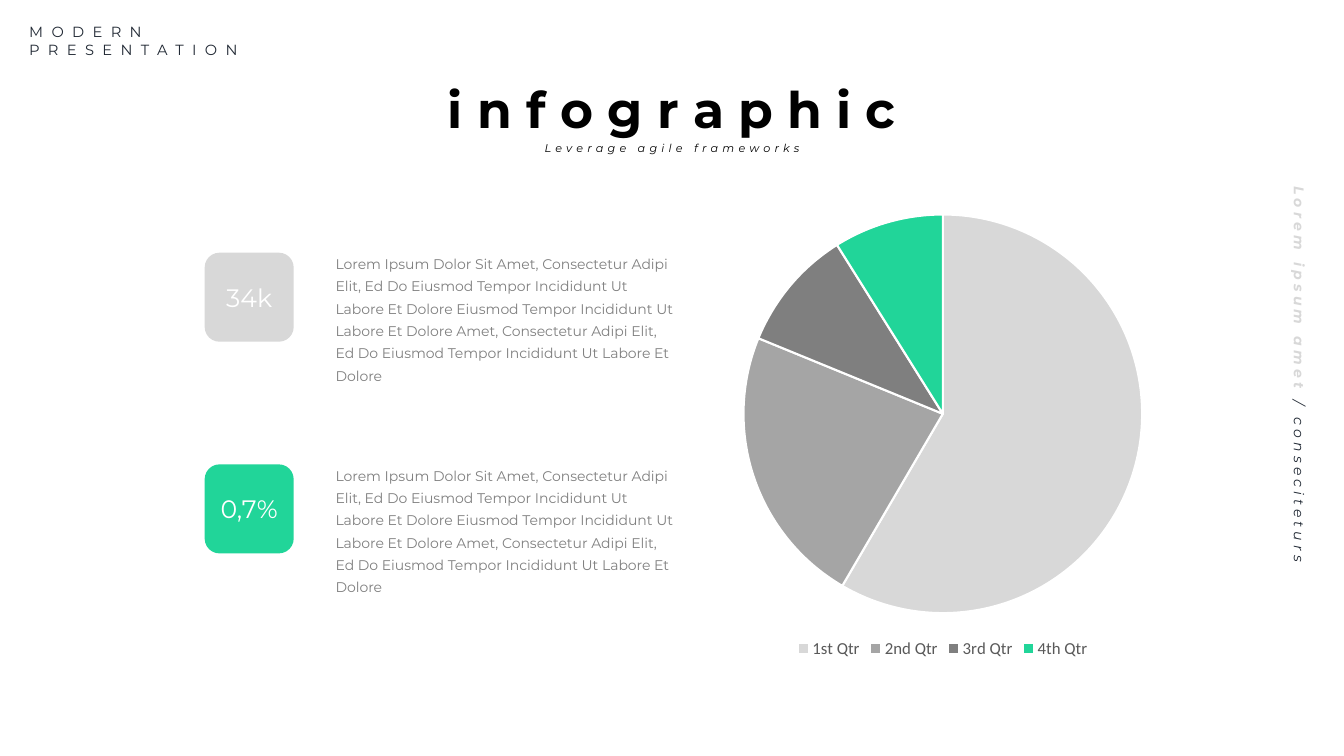
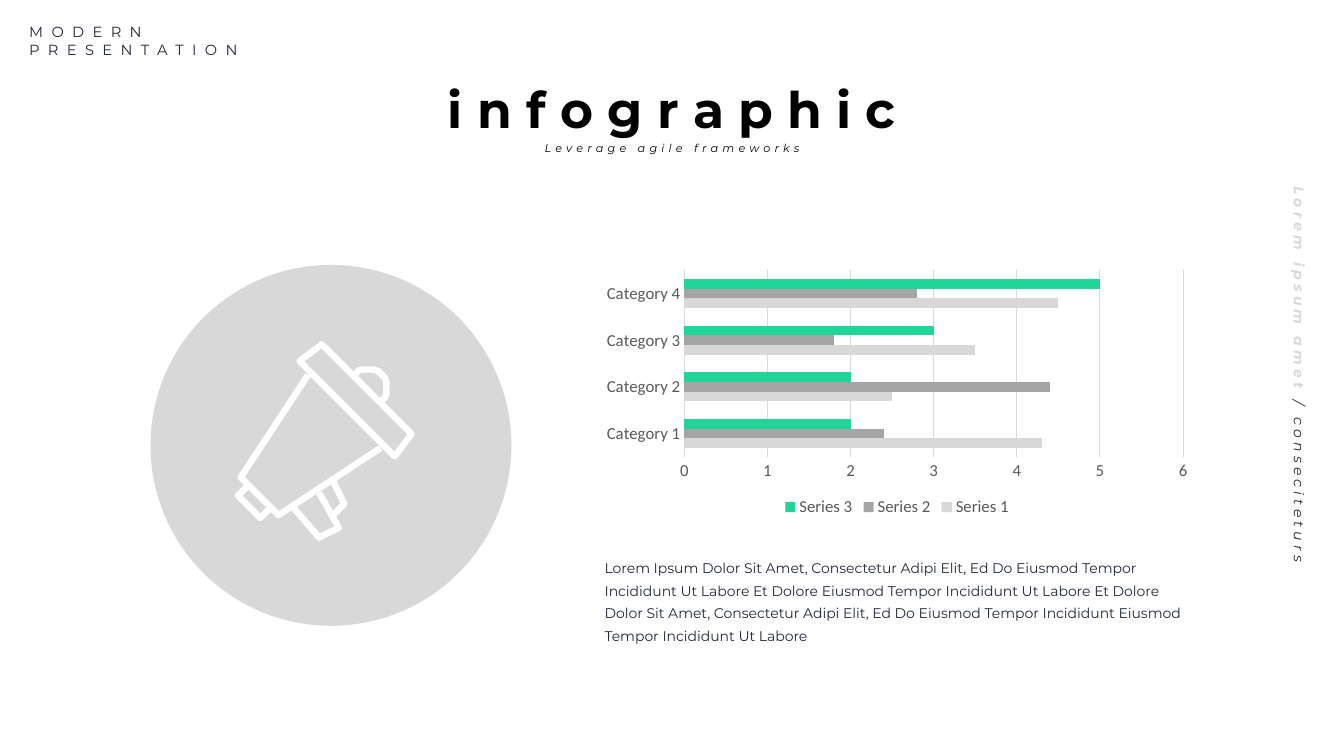
"""Build two infographic slides: a pie chart with key figures, and a bar chart beside a megaphone."""
from math import cos, radians, sin

from lxml.etree import SubElement
from pptx import Presentation
from pptx.chart.data import CategoryChartData
from pptx.dml.color import RGBColor
from pptx.enum.chart import XL_CHART_TYPE as Chart, XL_LEGEND_POSITION as Legend, XL_TICK_MARK as Tick
from pptx.enum.shapes import MSO_SHAPE as Shape
from pptx.enum.text import MSO_ANCHOR as Anchor, MSO_AUTO_SIZE as AutoSize, PP_ALIGN as Align
from pptx.oxml.ns import qn
from pptx.util import Pt

COLOURS = {
    "light": "D8D8D8", "mid": "A5A5A5", "dark": "7F7F7F", "green": "21D599",
    "body": "808080", "navy": "222A35", "black": "000000", "white": "FFFFFF",
    "chart_text": "595959", "grid": "D9D9D9",
}
TEXT_FONT, CHART_FONT = "Montserrat", "Calibri"

FIGURE_TEXT = (
    "Lorem Ipsum Dolor Sit Amet, Consectetur Adipi Elit, Ed Do Eiusmod Tempor Incididunt Ut "
    "Labore Et Dolore Eiusmod Tempor Incididunt Ut Labore Et Dolore Amet, Consectetur Adipi Elit, "
    "Ed Do Eiusmod Tempor Incididunt Ut Labore Et Dolore"
)
FIGURES = [("34k", "light", FIGURE_TEXT), ("0,7%", "green", FIGURE_TEXT)]
QUARTERS = [("1st Qtr", 59, "light"), ("2nd Qtr", 23, "mid"), ("3rd Qtr", 10, "dark"), ("4th Qtr", 9, "green")]
CATEGORIES = ["Category 1", "Category 2", "Category 3", "Category 4"]
SERIES = [
    ("Series 1", (4.3, 2.5, 3.5, 4.5), "light"),
    ("Series 2", (2.4, 4.4, 1.8, 2.8), "mid"),
    ("Series 3", (2, 2, 3, 5), "green"),
]
BAR_TEXT = (
    "Lorem Ipsum Dolor Sit Amet, Consectetur Adipi Elit, Ed Do Eiusmod Tempor Incididunt Ut Labore "
    "Et Dolore Eiusmod Tempor Incididunt Ut Labore Et Dolore Dolor Sit Amet, Consectetur Adipi Elit, "
    "Ed Do Eiusmod Tempor Incididunt Eiusmod Tempor Incididunt Ut Labore"
)

KNOB_X, KNOB_Y, KNOB_RADIUS = 262.8, 277.2, 13.7
KNOB = [
    (KNOB_X + KNOB_RADIUS * cos(radians(angle)), KNOB_Y + KNOB_RADIUS * sin(radians(angle)))
    for angle in range(-130, 41, 10)
]
MEGAPHONE = [
    ([(219.6, 267.8), (172, 341.3), (199.4, 368), (272.2, 320.4)], False),
    ([(230.4, 245.5), (213.5, 258.5), (281.5, 326.4), (294, 309.6)], True),
    ([(176.4, 347.8), (169.5, 354.5), (185.8, 370.3), (192.5, 364)], False),
    ([(210.5, 363), (228.2, 384), (242.2, 377.3), (227.5, 352)], False),
    ([(238.3, 344.2), (246.2, 359.8), (238.5, 368)], False),
    (KNOB, False),
]


def rgb(name):
    """Return the named colour."""
    return RGBColor.from_string(COLOURS[name])


def write(frame, text, size=10, colour="black", bold=False, italic=False, spacing=0,
          align=Align.LEFT, leading=None, inset=True, anchor=Anchor.TOP, append=False):
    """Put text in a frame, one paragraph a line, or append it to the last paragraph."""
    if not append:
        frame.word_wrap, frame.auto_size, frame.vertical_anchor = True, AutoSize.NONE, anchor
        frame.margin_left = frame.margin_right = Pt(7.2 if inset else 0)
        frame.margin_top = frame.margin_bottom = Pt(3.6 if inset else 0)
    for index, line in enumerate(text.split("\n")):
        para = frame.paragraphs[-1] if append or index == 0 else frame.add_paragraph()
        if not append:
            para.alignment, para.line_spacing = align, leading
        span = para.add_run()
        span.text = line
        font = span.font
        font.name, font.size, font.bold, font.italic = TEXT_FONT, Pt(size), bold, italic
        font.color.rgb = rgb(colour)
        if spacing:
            span._r.get_or_add_rPr().set("spc", str(spacing * 100))


def add_text(page, place, text, **style):
    """Add a text box at a place given in points."""
    box = page.shapes.add_textbox(*map(Pt, place))
    write(box.text_frame, text, **style)
    return box


def add_block(page, kind, place, colour):
    """Add a plain filled shape."""
    block = page.shapes.add_shape(kind, *map(Pt, place))
    block.shadow.inherit = False
    block.fill.solid()
    block.fill.fore_color.rgb = rgb(colour)
    block.line.fill.background()
    return block


def add_chart(page, kind, place, categories, series):
    """Add a chart with a legend below it."""
    data = CategoryChartData()
    data.categories = categories
    for name, values in series:
        data.add_series(name, values)
    chart = page.shapes.add_chart(kind, *map(Pt, place), data).chart
    chart.has_title = False
    chart.font.name, chart.font.size = CHART_FONT, Pt(12)
    chart.font.color.rgb = rgb("chart_text")
    chart.has_legend = True
    chart.legend.position = Legend.BOTTOM
    chart.legend.include_in_layout = False
    return chart


def paint(item, colour):
    """Fill a chart series or point."""
    item.format.fill.solid()
    item.format.fill.fore_color.rgb = rgb(colour)


def add_page(deck):
    """Add a slide with the shared title, subtitle, header and side text."""
    page = deck.slides.add_slide(deck.slide_layouts[5])
    title = page.shapes.title
    title.left, title.top, title.width, title.height = map(Pt, (247.7, 52.5, 464.4, 51))
    write(title.text_frame, "i n f o g r a p h i c", size=36, bold=True, align=Align.CENTER)
    add_text(page, (350.6, 95.8, 259.2, 13), "Leverage agile frameworks", size=8, italic=True,
             spacing=3, align=Align.CENTER, leading=1.5, inset=False)
    add_text(page, (20.9, 16.6, 206.6, 25.2), "MODERN\nPRESENTATION", size=10.5, colour="navy",
             spacing=6, inset=False)
    side = add_text(page, (671, 260, 515.5, 20.2), "Lorem ipsum amet ", colour="light", bold=True,
                    italic=True, spacing=3, align=Align.CENTER, leading=1.1)
    write(side.text_frame, "/ conseciteturs ", colour="navy", italic=True, spacing=3, append=True)
    side.rotation = 90
    return page


def add_pie_page(deck):
    """Add the slide with key figures and a pie chart."""
    page = add_page(deck)
    names, shares, colours = zip(*QUARTERS)
    chart = add_chart(page, Chart.PIE, (426.2, 143.3, 494.6, 329.8), names, [("Series 1", shares)])
    plot = chart.plots[0]
    plot.vary_by_categories = True
    for index, colour in enumerate(colours):
        point = plot.series[0].points[index]
        paint(point, colour)
        point.format.line.color.rgb = rgb("white")
        point.format.line.width = Pt(1.5)
    for index, (figure, colour, text) in enumerate(FIGURES):
        top = 180.5 + 151.2 * index
        tile = add_block(page, Shape.ROUNDED_RECTANGLE, (146.2, top, 63.6, 63.6), colour)
        write(tile.text_frame, figure, size=18, colour="white", align=Align.CENTER, anchor=Anchor.MIDDLE)
        add_text(page, (232.6, top - 5.6, 257, 102.2), text, colour="body", leading=Pt(16))


def add_megaphone(page):
    """Draw the white megaphone as one outlined freeform."""
    start = MEGAPHONE[0][0][0]
    builder = page.shapes.build_freeform(*start, scale=float(Pt(1)))
    for points, closed in MEGAPHONE:
        if points[0] != start:
            builder.move_to(*points[0])
        builder.add_line_segments(points[1:], close=closed)
    icon = builder.convert_to_shape()
    icon.shadow.inherit = False
    icon.fill.background()
    icon.line.color.rgb = rgb("white")
    icon.line.width = Pt(4.6)
    SubElement(icon.line._get_or_add_ln(), qn("a:round"))


def add_bar_page(deck):
    """Add the slide with the megaphone and a bar chart."""
    page = add_page(deck)
    add_block(page, Shape.OVAL, (107.5, 189.2, 257.8, 257.8), "light")
    add_megaphone(page)
    chart = add_chart(page, Chart.BAR_CLUSTERED, (424.8, 189.4, 432, 182.9), CATEGORIES,
                      [(name, values) for name, values, _ in SERIES])
    plot = chart.plots[0]
    plot.gap_width, plot.vary_by_categories = 182, False
    for series, (_, _, colour) in zip(plot.series, SERIES):
        paint(series, colour)
    for axis in (chart.category_axis, chart.value_axis):
        axis.major_tick_mark = axis.minor_tick_mark = Tick.NONE
    chart.value_axis.format.line.fill.background()
    chart.value_axis.has_major_gridlines = True
    for rule in (chart.category_axis, chart.value_axis.major_gridlines):
        rule.format.line.color.rgb = rgb("grid")
        rule.format.line.width = Pt(0.75)
    add_text(page, (424.8, 392.4, 432, 70.6), BAR_TEXT, colour="navy", leading=Pt(16))


def main():
    """Build and save the deck."""
    deck = Presentation()
    deck.slide_width, deck.slide_height = Pt(960), Pt(540)
    add_pie_page(deck)
    add_bar_page(deck)
    deck.save("out.pptx")


if __name__ == "__main__":
    main()
